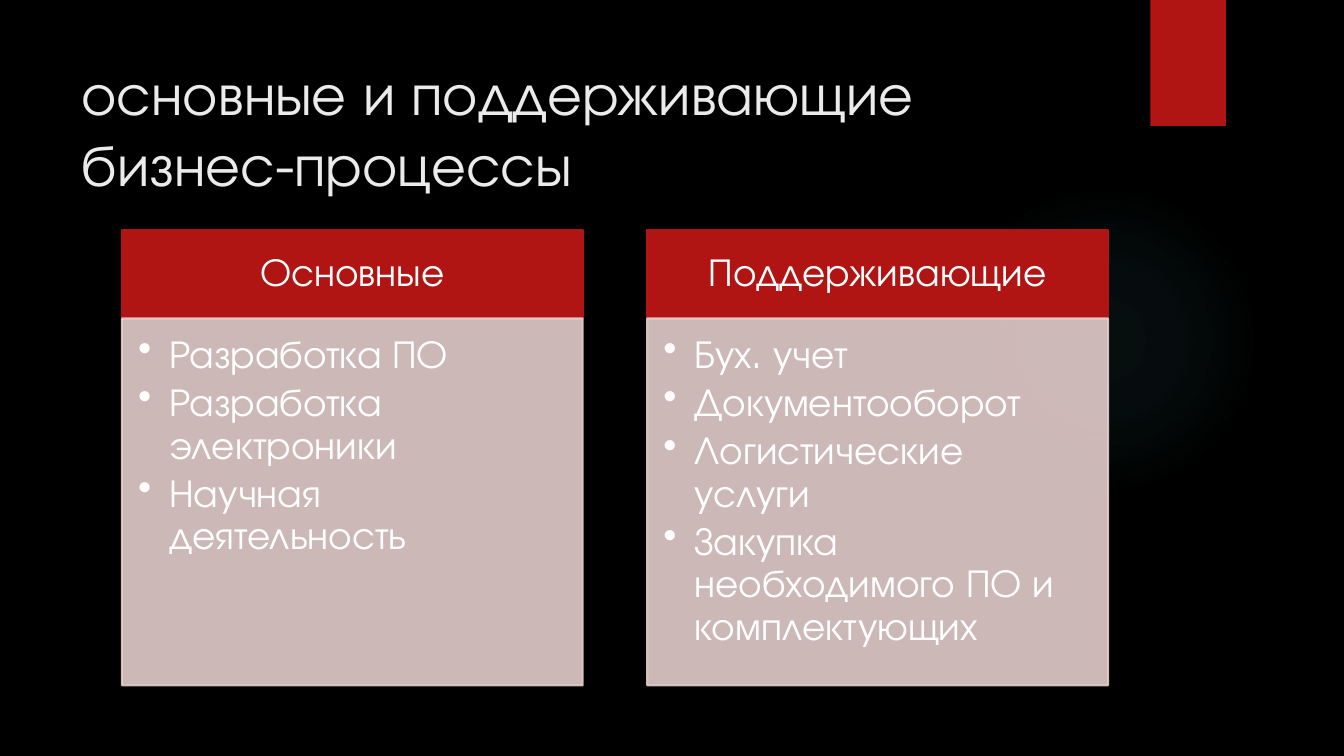
import dataclasses

import lxml.etree
import pptx
import pptx.dml.color
import pptx.enum.dml
import pptx.enum.shapes
import pptx.enum.text
import pptx.oxml
import pptx.oxml.ns
import pptx.util

PX = 9144


@dataclasses.dataclass(frozen=True)
class Theme:
    font: str = "TeX Gyre Adventor"
    title_size: int = 42
    body_size: int = 28
    background: str = "000000"
    accent: str = "B01513"
    panel: str = "E4CCCC"
    glow: str = "50B9C1"
    title: str = "EBEBEB"
    text: str = "FFFFFF"


@dataclasses.dataclass(frozen=True)
class Box:
    left: int
    top: int
    width: int
    height: int

    def emu(self) -> list[int]:
        return [side * PX for side in dataclasses.astuple(self)]


@dataclasses.dataclass(frozen=True)
class Column:
    heading: str
    items: tuple[str, ...]


THEME = Theme()
TITLE = "основные и поддерживающие бизнес-процессы"
TITLE_BOX = Box(71, 50, 1029, 153)
GLOW_BOX = Box(941, 183, 308, 308)
TAB_BOX = Box(1141, 0, 75, 125)
GLOW_STOPS = ((0, 7), (36, 6), (69, 0))
PANEL_OPACITY = 90
COLUMN_LEFT, COLUMN_WIDTH, COLUMN_PITCH = 121, 457, 521
HEADING_TOP, HEADING_HEIGHT, PANEL_HEIGHT = 228, 88, 364
HEADING_INSETS = (22, 12, 22, 12)
PANEL_INSETS = (16, 16, 22, 24)
BULLET_INDENT = 31
COLUMNS = (
    Column("Основные", ("Разработка ПО", "Разработка электроники", "Научная деятельность")),
    Column(
        "Поддерживающие",
        (
            "Бух. учет",
            "Документооборот",
            "Логистические услуги",
            "Закупка необходимого ПО и комплектующих",
        ),
    ),
)


def rgb(color: str) -> pptx.dml.color.RGBColor:
    return pptx.dml.color.RGBColor.from_string(color)


def set_font(paragraph, size: int, color: str) -> None:
    paragraph.font.name = THEME.font
    paragraph.font.size = pptx.util.Pt(size)
    paragraph.font.color.rgb = rgb(color)


def set_frame(frame, anchor, insets: tuple[int, ...]) -> None:
    frame.word_wrap = True
    frame.auto_size = pptx.enum.text.MSO_AUTO_SIZE.NONE
    frame.vertical_anchor = anchor
    frame.margin_left, frame.margin_top, frame.margin_right, frame.margin_bottom = (
        inset * PX for inset in insets
    )


def add_filled(page, box: Box, color: str, outlined: bool = False, opacity: int = 100):
    shape = page.shapes.add_shape(pptx.enum.shapes.MSO_SHAPE.RECTANGLE, *box.emu())
    shape.shadow.inherit = False
    shape.fill.solid()
    shape.fill.fore_color.rgb = rgb(color)
    if outlined:
        shape.line.color.rgb = rgb(color)
        shape.line.width = pptx.util.Pt(1.5)
    else:
        shape.line.fill.background()
    if opacity < 100:
        for tint in shape._element.spPr.iter(pptx.oxml.ns.qn("a:srgbClr")):
            alpha = lxml.etree.SubElement(tint, pptx.oxml.ns.qn("a:alpha"))
            alpha.set("val", str(opacity * 1000))
    return shape


def add_glow(page) -> None:
    glow = page.shapes.add_shape(pptx.enum.shapes.MSO_SHAPE.OVAL, *GLOW_BOX.emu())
    glow.shadow.inherit = False
    glow.line.fill.background()
    stops = "".join(
        f'<a:gs pos="{place * 1000}"><a:srgbClr val="{THEME.glow}">'
        f'<a:alpha val="{opacity * 1000}"/></a:srgbClr></a:gs>'
        for place, opacity in GLOW_STOPS
    )
    gradient = pptx.oxml.parse_xml(
        f'<a:gradFill {pptx.oxml.ns.nsdecls("a")}><a:gsLst>{stops}</a:gsLst>'
        '<a:path path="circle"><a:fillToRect l="50000" t="50000" r="50000" b="50000"/>'
        "</a:path></a:gradFill>"
    )
    glow._element.spPr.find(pptx.oxml.ns.qn("a:prstGeom")).addnext(gradient)


def add_title(page) -> None:
    title = page.shapes.title
    title.left, title.top, title.width, title.height = TITLE_BOX.emu()
    title.text_frame.text = TITLE
    set_frame(title.text_frame, pptx.enum.text.MSO_ANCHOR.MIDDLE, (10, 5, 10, 5))
    paragraph = title.text_frame.paragraphs[0]
    paragraph.alignment = pptx.enum.text.PP_ALIGN.LEFT
    set_font(paragraph, THEME.title_size, THEME.title)


def add_bullet(paragraph) -> None:
    properties = paragraph._p.get_or_add_pPr()
    properties.set("marL", str(BULLET_INDENT * PX))
    properties.set("indent", str(-BULLET_INDENT * PX))
    bullet = lxml.etree.SubElement(properties, pptx.oxml.ns.qn("a:buChar"))
    bullet.set("char", "•")


def add_column(page, column: Column, left: int) -> None:
    heading_box = Box(left, HEADING_TOP, COLUMN_WIDTH, HEADING_HEIGHT)
    heading = add_filled(page, heading_box, THEME.accent, outlined=True)
    set_frame(heading.text_frame, pptx.enum.text.MSO_ANCHOR.MIDDLE, HEADING_INSETS)
    label = heading.text_frame.paragraphs[0]
    label.text = column.heading
    label.alignment = pptx.enum.text.PP_ALIGN.CENTER
    label.line_spacing = 0.9
    set_font(label, THEME.body_size, THEME.text)

    panel_box = Box(left, HEADING_TOP + HEADING_HEIGHT, COLUMN_WIDTH, PANEL_HEIGHT)
    panel = add_filled(page, panel_box, THEME.panel, True, PANEL_OPACITY)
    set_frame(panel.text_frame, pptx.enum.text.MSO_ANCHOR.TOP, PANEL_INSETS)
    panel.text_frame.text = "\n".join(column.items)
    for paragraph in panel.text_frame.paragraphs:
        paragraph.alignment = pptx.enum.text.PP_ALIGN.LEFT
        paragraph.line_spacing = 0.9
        paragraph.space_after = pptx.util.Pt(4.2)
        add_bullet(paragraph)
        set_font(paragraph, THEME.body_size, THEME.text)


def main() -> None:
    deck = pptx.Presentation()
    deck.slide_width, deck.slide_height = 1333 * PX, 750 * PX
    page = deck.slides.add_slide(deck.slide_layouts.get_by_name("Title Only"))
    page.background.fill.solid()
    page.background.fill.fore_color.rgb = rgb(THEME.background)
    add_glow(page)
    add_filled(page, TAB_BOX, THEME.accent)
    add_title(page)
    for index, column in enumerate(COLUMNS):
        add_column(page, column, COLUMN_LEFT + index * COLUMN_PITCH)
    deck.save("out.pptx")


if __name__ == "__main__":
    main()
